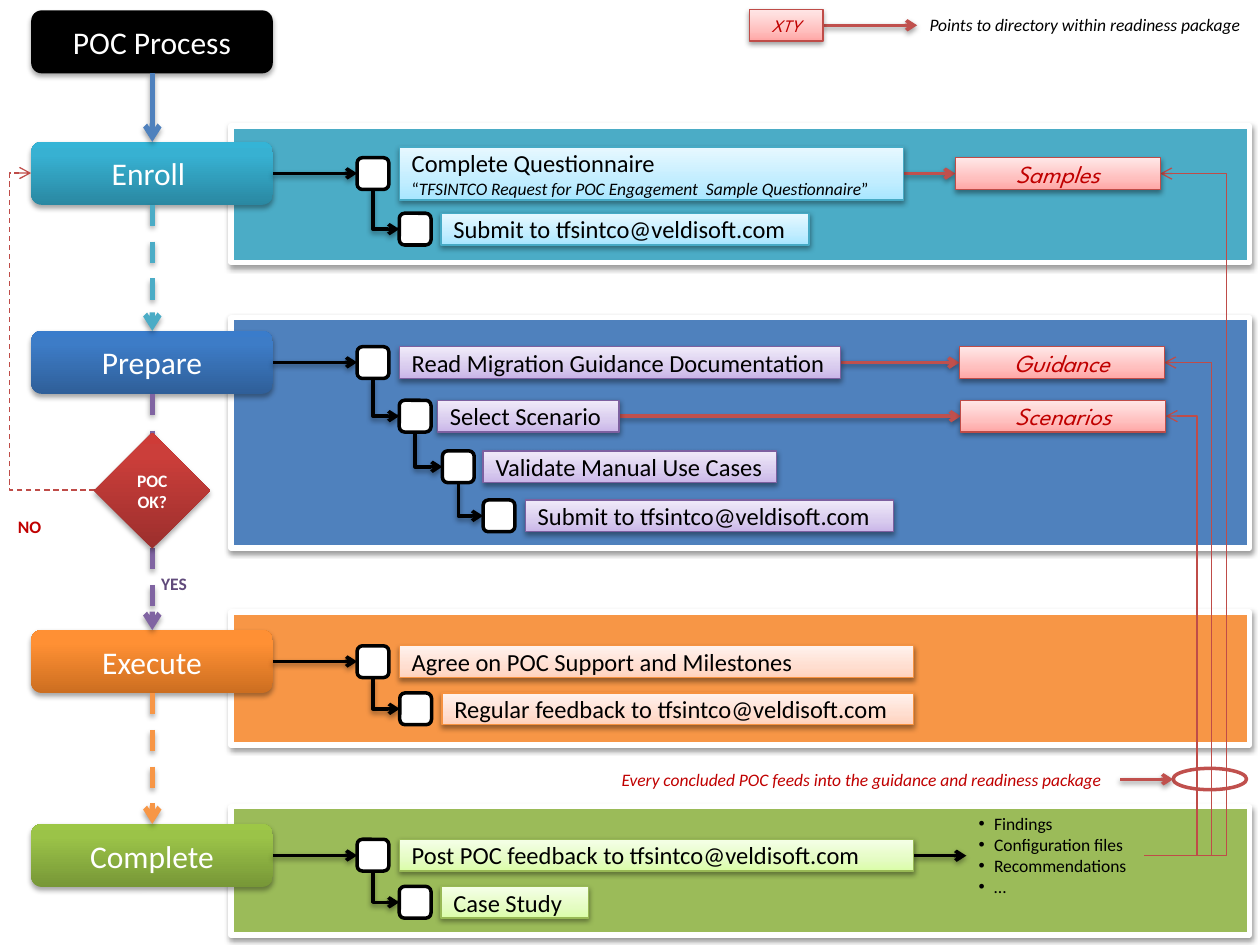
import copy
import itertools
import pptx
import pptx.util
import pptx.dml.color
import pptx.enum.dml
import pptx.enum.shapes
import pptx.enum.text
import pptx.oxml.ns
import lxml.etree

Cm, Pt = pptx.util.Cm, pptx.util.Pt
qn = pptx.oxml.ns.qn
rgb = pptx.dml.color.RGBColor.from_string
SHAPE = pptx.enum.shapes.MSO_SHAPE
LINK = pptx.enum.shapes.MSO_CONNECTOR
ALIGN = pptx.enum.text.PP_ALIGN


def style(part, fills=(), line=None, width=0.75, shade=0, drop=1.6):
    if len(fills) == 1:
        part.fill.solid()
        part.fill.fore_color.rgb = rgb(fills[0][1])
    elif fills:
        part.fill.gradient()
        part.fill.gradient_angle = 90
        stops = part._element.find(".//" + qn("a:gsLst"))
        stops.append(copy.deepcopy(stops[0]))
        for stop, (position, color) in zip(part.fill.gradient_stops, fills):
            stop.position = position
            stop.color.rgb = rgb(color)
    if line:
        part.line.color.rgb = rgb(line)
        part.line.width = Pt(width)
    else:
        part.line.fill.background()
    effects = lxml.etree.SubElement(part._element.spPr, qn("a:effectLst"))
    if shade:
        shadow = lxml.etree.SubElement(
            effects, qn("a:outerShdw"), blurRad=str(Pt(3.1)), dist=str(Pt(drop)),
            dir="5400000", rotWithShape="0")
        black = lxml.etree.SubElement(shadow, qn("a:srgbClr"), val="000000")
        lxml.etree.SubElement(black, qn("a:alpha"), val=str(shade * 1000))


def write(paragraph, text, size, color, font="Calibri", bold=False, italic=False):
    run = paragraph.add_run()
    run.text = text
    run.font.size = Pt(size)
    run.font.name = font
    run.font.bold = bold
    run.font.italic = italic
    run.font.color.rgb = rgb(color)


deck = pptx.Presentation()
deck.slide_width, deck.slide_height = Cm(25.4), Cm(19.05)
shapes = deck.slides.add_slide(deck.slide_layouts[6]).shapes

CHECK = 0.64
STAGE_LEFT, STAGE_WIDTH, STAGE_HEIGHT = 0.63, 4.87, 1.27
FOLDER_WIDTH = 4.13
SPINE = 3.07
ADDRESS = "tfsintco@veldisoft.com"
BLACK, WHITE, RED = "000000", "FFFFFF", "C00000"
violet = [(0, "C9B5E8"), (0.35, "D8CBEE"), (1, "F0EAF9")]
rose = [(0, "FFA6A5"), (0.35, "FFC0BF"), (1, "FFE7E7")]

phases = [
    ("Enroll ", 2.86, (2.54, 2.75), "4BACC6",
     [(0, "2A88A2"), (0.8, "37B1D2"), (1, "34B4D6")],
     [(0, "A7E6FF"), (0.35, "C1EDFF"), (1, "E7F8FF")], "46AAC5",
     [(7.2, 3.18, 8.05, 10.16, "Complete Questionnaire "),
      (8.05, 4.3, 8.89, 7.42, "Submit to " + ADDRESS)]),
    ("Prepare", 6.67, (6.4, 4.65), "4F81BD",
     [(0, "2F5F99"), (0.8, "3D7CC7"), (1, "3A7CCB")], violet, "7D60A0",
     [(7.2, 6.99, 8.05, 8.89, "Read Migration Guidance Documentation"),
      (8.05, 8.07, 8.82, 3.66, "Select Scenario"),
      (8.92, 9.09, 9.74, 5.92, "Validate Manual Use Cases"),
      (9.74, 10.08, 10.59, 7.42, "Submit to " + ADDRESS)]),
    ("Execute", 12.7, (12.34, 2.68), "F79646",
     [(0, "CC6E20"), (0.8, "FF9034"), (1, "FF9136")],
     [(0, "FFD2BD"), (0.35, "FFDED0"), (1, "FFF2ED")], "F69240",
     [(7.2, 13.02, 8.05, 10.36, "Agree on POC Support and Milestones"),
      (8.06, 13.97, 8.91, 9.5, "Regular feedback to " + ADDRESS)]),
    ("Complete", 16.61, (16.26, 2.59), "9BBB59",
     [(0, "779737"), (0.8, "9BC348"), (1, "9DC746")],
     [(0, "DAFDA7"), (0.35, "E4FCC2"), (1, "F5FFE7")], "98B955",
     [(7.2, 16.92, 8.05, 10.36, "Post POC feedback to " + ADDRESS),
      (8.05, 17.87, 8.89, 2.97, "Case Study")]),
]

merge_ring = shapes.add_shape(SHAPE.OVAL, Cm(23.65), Cm(15.49), Cm(1.48), Cm(0.43))
style(merge_ring, [(0, WHITE)], "C0504D", 2)

for _, _, (top, height), color, *_ in reversed(phases):
    band = shapes.add_shape(SHAPE.RECTANGLE, Cm(4.66), Cm(top), Cm(20.53), Cm(height))
    style(band, [(0, color)], WHITE, 3, 38)

stages = [("POC Process", 0.21, [(0, BLACK)])]
stages += [(title, top, fills) for title, top, _, _, fills, *_ in phases]
for title, top, fills in stages:
    stage = shapes.add_shape(SHAPE.ROUNDED_RECTANGLE, Cm(STAGE_LEFT), Cm(top),
                             Cm(STAGE_WIDTH), Cm(STAGE_HEIGHT))
    style(stage, fills, shade=35, drop=1.8)
    write(stage.text_frame.paragraphs[0], title, 18, WHITE)

links = []
for start, end, color, dashed in [
        (1.48, 2.86, "4F81BD", False), (4.13, 6.67, "4BACC6", True),
        (7.94, 10.62, "8064A2", True), (11.05, 12.7, "8064A2", True),
        (13.97, 16.61, "F79646", True)]:
    links.append((SPINE, start, SPINE, end, color, 3, dashed, 35, None))

for _, stage_top, _, _, _, fills, edge, tasks in phases:
    middle = stage_top + STAGE_HEIGHT / 2
    links.append((STAGE_LEFT + STAGE_WIDTH, middle, tasks[0][0], middle,
                  BLACK, 2, False, 38, None))
    for (x, y, *_), (next_x, next_y, *_) in itertools.pairwise(tasks):
        links.append((x + CHECK / 2, y + CHECK, next_x, next_y + CHECK / 2,
                      BLACK, 2, False, 38, "corner"))

references = [("Samples", 19.26, 3.18, 18.21, 24.72), ("Guidance", 19.34, 6.99, 16.94, 24.42),
              ("Scenarios", 19.37, 8.07, 12.49, 24.13), ("XTY", 15.11, 0.19, None, None)]
for _, left, top, source, bend in references:
    middle = top + CHECK / 2
    if source:
        links.append((source, middle, left, middle, "C0504D", 2, False, 38, None))
        links.append((23.07, 17.25, left + FOLDER_WIDTH, middle, "BF4C48", 0.75, False, 0, bend))
links += [
    (16.59, 0.51, 18.49, 0.51, "C0504D", 2, False, 38, None),
    (22.58, 15.71, 23.65, 15.71, "C0504D", 2, False, 38, None),
    (18.39, 17.25, 19.48, 17.25, BLACK, 2, False, 38, None),
    (1.91, 9.88, STAGE_LEFT, 3.49, "BF4C48", 0.75, True, 0, 0.2),
]

for x1, y1, x2, y2, color, width, dashed, shade, bend in links:
    kind = LINK.ELBOW if bend else LINK.STRAIGHT
    corner = bend == "corner"
    ends = (x1, y1, x2, y2)
    if corner:
        across, down = x2 - x1, y2 - y1
        left, top = (x1 + x2 - down) / 2, (y1 + y2 - across) / 2
        ends = (left, top, left + down, top + across)
    link = shapes.add_connector(kind, *(Cm(end) for end in ends))
    geometry = link._element.spPr.find(qn("a:prstGeom"))
    if corner:
        geometry.set("prst", "bentConnector2")
        frame = link._element.spPr.find(qn("a:xfrm"))
        frame.set("rot", "16200000")
        frame.set("flipH", "1")
    elif bend:
        ratio = round((bend - x1) / (x2 - x1) * 100000)
        lxml.etree.SubElement(geometry.find(qn("a:avLst")), qn("a:gd"),
                              name="adj1", fmla=f"val {ratio}")
    style(link, (), color, width, shade, 1.8 if shade == 35 else 1.6)
    if dashed:
        link.line.dash_style = pptx.enum.dml.MSO_LINE.DASH
    lxml.etree.SubElement(link._element.spPr.find(qn("a:ln")), qn("a:tailEnd"), type="arrow")

for _, _, _, _, _, fills, edge, tasks in phases:
    for x, y, left, width, text in tasks:
        check = shapes.add_shape(SHAPE.ROUNDED_RECTANGLE, Cm(x), Cm(y), Cm(CHECK), Cm(CHECK))
        style(check, [(0, WHITE)], BLACK, 2)
        questionnaire = text.startswith("Complete Questionnaire")
        height = 1.07 if questionnaire else CHECK
        task = shapes.add_shape(SHAPE.RECTANGLE, Cm(left), Cm(y + (CHECK - height) / 2),
                                Cm(width), Cm(height))
        style(task, fills, edge, shade=38)
        label = task.text_frame.paragraphs[0]
        label.alignment = ALIGN.LEFT
        write(label, text, 14, BLACK)
        if questionnaire:
            label.add_line_break()
            write(label, "“", 10, BLACK)
            write(label, "TFSINTCO Request for POC Engagement  Sample Questionnaire", 10, BLACK,
                  italic=True)
            write(label, "”", 10, BLACK)

for text, left, top, source, _ in references:
    folder = shapes.add_shape(SHAPE.RECTANGLE, Cm(left), Cm(top),
                              Cm(FOLDER_WIDTH if source else 1.48), Cm(CHECK))
    style(folder, rose, "BF4C48", shade=38)
    write(folder.text_frame.paragraphs[0], text, 14 if source else 10, RED,
          "League Spartan", italic=True)

decision = shapes.add_shape(SHAPE.DIAMOND, Cm(1.9), Cm(8.72), Cm(2.34), Cm(2.34))
style(decision, [(0, "9C2F2D"), (0.8, "CB3E3A"), (1, "CE3B37")], shade=35, drop=1.8)
write(decision.text_frame.paragraphs[0], "POC OK?", 10, WHITE, bold=True)

for text, left, top, width, color, bold in [
        ("YES", 3, 11.43, 1.04, "604A7B", True),
        ("NO", 0.11, 10.27, 0.99, RED, True),
        ("Points to directory within readiness package", 18.49, 0.15, 6.91, BLACK, False),
        ("Every concluded POC feeds into the guidance and readiness package",
         12.28, 15.37, 10.31, RED, False)]:
    caption = shapes.add_textbox(Cm(left), Cm(top), Cm(width), Cm(0.69)).text_frame
    caption.word_wrap = False
    caption.auto_size = pptx.enum.text.MSO_AUTO_SIZE.SHAPE_TO_FIT_TEXT
    write(caption.paragraphs[0], text, 10, color, bold=bold, italic=not bold)

outcomes = shapes.add_textbox(Cm(19.48), Cm(16.26), Cm(3.61), Cm(1.96)).text_frame
outcomes.word_wrap = True
outcomes.auto_size = pptx.enum.text.MSO_AUTO_SIZE.SHAPE_TO_FIT_TEXT
for index, text in enumerate(["Findings", "Configuration files", "Recommendations", "…"]):
    outcome = outcomes.add_paragraph() if index else outcomes.paragraphs[0]
    settings = outcome._p.get_or_add_pPr()
    settings.set("marL", str(Cm(0.31)))
    settings.set("indent", str(Cm(-0.31)))
    lxml.etree.SubElement(settings, qn("a:buFont"), typeface="Arial")
    lxml.etree.SubElement(settings, qn("a:buChar"), char="•")
    write(outcome, text, 10, BLACK)

deck.save("out.pptx")
